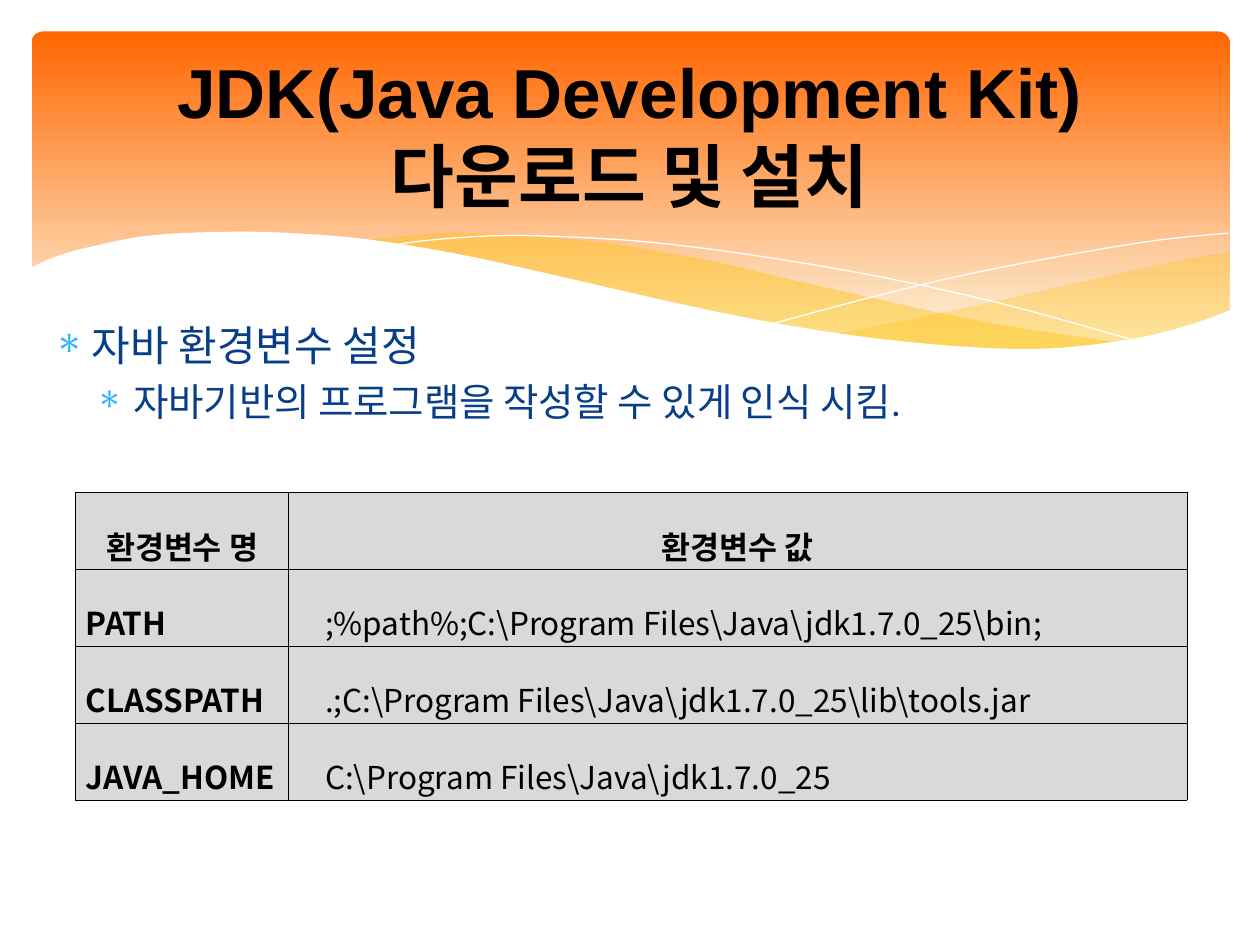
import lxml.etree
import pptx
import pptx.dml.color
import pptx.enum.dml
import pptx.enum.shapes
import pptx.enum.text
import pptx.oxml.ns
import pptx.util

Pt = pptx.util.Pt
ALIGN = pptx.enum.text.PP_ALIGN
ANCHOR = pptx.enum.text.MSO_ANCHOR
COLORS = {"orange": "FF6600", "cream": "FDF2D9", "gold": "FFC000", "white": "FFFFFF",
          "black": "000000", "navy": "073E87", "sky": "31B6FD", "gray": "D9D9D9"}

RIGHT_BAND_TOP = [(684.7, 126), (655, 131), (602, 142.5), (543, 156), (490, 167), (458, 173)]
RIGHT_BAND_BOTTOM = [(458, 173), (490, 177), (527, 180.7), (560, 182), (597, 180.7),
                     (634, 175.7), (660, 168.5), (684.7, 160)]
MIDDLE_BAND_TOP = [(625, 178.5), (563, 169), (515.5, 160), (435, 142), (391.7, 131.8),
                   (352, 124.5), (317, 119.5), (269, 116), (242, 115.2), (218, 116.5),
                   (188, 119.5)]
MIDDLE_BAND_BOTTOM = [(188, 119.5), (228, 125.3), (273, 134), (305, 142), (363.6, 155),
                      (414.7, 165.6), (461, 173.5), (502, 179.3), (538.6, 181.5),
                      (571, 182), (599, 181.5), (625, 178.5)]
FALLING_LINE = [(204.5, 122.4), (229.7, 119), (270.7, 116.6), (319.7, 118), (365.8, 121.7),
                (419.8, 129), (482.4, 139.7), (554.4, 155.5), (635, 177.8)]
RISING_LINE = [(423.4, 167), (482.4, 151.2), (540.7, 137.5), (605.5, 125.3),
               (647.3, 118.8), (684, 115.2)]
WHITE_EDGE = [(-1.4, 135.4), (15, 128.2), (36.7, 122.4), (67.7, 116.6), (109.4, 114.5),
              (147.6, 115.2), (192, 118.8), (244.8, 127.4), (303.8, 140.4), (362.9, 154),
              (416, 165), (463, 172.8), (504.7, 177.8), (542, 180.7), (574.6, 181.4),
              (603.4, 179.3), (637, 174.2), (666, 166.3), (685.4, 159)]
WHITE_BASE = [(685.4, 219), (-1.4, 219)]

ROWS = [("환경변수 명", "환경변수 값"),
        ("PATH", r";%path%;C:\Program Files\Java\jdk1.7.0_25\bin;"),
        ("CLASSPATH", r".;C:\Program Files\Java\jdk1.7.0_25\lib\tools.jar"),
        ("JAVA_HOME", r"C:\Program Files\Java\jdk1.7.0_25")]


def rgb(name):
    """Return the named colour."""
    return pptx.dml.color.RGBColor.from_string(COLORS[name])


def sub(parent, tag, **attrs):
    """Append a DrawingML element."""
    return lxml.etree.SubElement(parent, pptx.oxml.ns.qn("a:" + tag), **attrs)


def add_run(p, text, size, font, color, bold=False):
    """Add one formatted run to a paragraph."""
    r = p.add_run()
    r.text = text
    r.font.size, r.font.name, r.font.bold = Pt(size), font, bold
    r.font.color.rgb = rgb(color)
    sub(r._r.get_or_add_rPr(), "ea", typeface=font)


def add_text_box(s, box, anchor):
    """Add a wrapping text box and return its text frame."""
    tf = s.shapes.add_textbox(*map(Pt, box)).text_frame
    tf.word_wrap = True
    tf.vertical_anchor = anchor
    return tf


def smooth(points, steps=5):
    """Sample a Catmull-Rom curve through the points."""
    ends = [points[0], *points, points[-1]]
    curve = [points[0]]
    for a, b, c, d in zip(ends, ends[1:], ends[2:], ends[3:]):
        for t in (i / steps for i in range(1, steps + 1)):
            curve.append(tuple(
                (2 * q + (u - o) * t + (2 * o - 5 * q + 4 * u - v) * t ** 2
                 + (3 * q - o - 3 * u + v) * t ** 3) / 2
                for o, q, u, v in zip(a, b, c, d)))
    return curve


def add_wave(group, left, top, points, fill=None, alpha=None):
    """Draw a filled wave, or a white hairline when no fill is given."""
    pts = [(Pt(left + x), Pt(top + y)) for x, y in points]
    fb = group.shapes.build_freeform(*pts[0])
    fb.add_line_segments(pts[1:], close=fill is not None)
    sp = fb.convert_to_shape()
    sp.shadow.inherit = False
    if fill is None:
        sp.fill.background()
        sp.line.color.rgb = rgb("white")
        sp.line.width = Pt(0)
        return
    sp.fill.solid()
    sp.fill.fore_color.rgb = rgb(fill)
    sp.line.fill.background()
    if alpha:
        color = sp._element.spPr.find(".//" + pptx.oxml.ns.qn("a:srgbClr"))
        sub(color, "alpha", val=str(alpha * 1000))


def add_banner(s, left, top, width, height):
    """Draw the gradient banner with its waves."""
    sp = s.shapes.add_shape(pptx.enum.shapes.MSO_SHAPE.ROUNDED_RECTANGLE,
                            Pt(left), Pt(top), Pt(width), Pt(height))
    sp.adjustments[0] = 0.034
    sp.shadow.inherit = False
    sp.line.fill.background()
    sp.fill.gradient()
    sp.fill.gradient_angle = 270
    for stop, position, color in zip(sp.fill.gradient_stops, (0, 0.9), ("orange", "cream")):
        stop.position = position
        stop.color.rgb = rgb(color)
    group = s.shapes.add_group_shape()
    add_wave(group, left, top, smooth(RIGHT_BAND_TOP) + smooth(RIGHT_BAND_BOTTOM), "gold", 29)
    add_wave(group, left, top, smooth(MIDDLE_BAND_TOP) + smooth(MIDDLE_BAND_BOTTOM), "gold", 40)
    add_wave(group, left, top, smooth(FALLING_LINE))
    add_wave(group, left, top, smooth(RISING_LINE))
    add_wave(group, left, top, smooth(WHITE_EDGE) + WHITE_BASE, "white")


def add_title(s, *box):
    """Place the centred title."""
    p = add_text_box(s, box, ANCHOR.MIDDLE).paragraphs[0]
    p.alignment = ALIGN.CENTER
    add_run(p, "JDK(Java Development Kit) ", 39.6, "Arial", "black", True)
    add_run(p, "다운로드 및 설치", 39.6, "Calibri", "black", True)


def add_bullets(s, *box):
    """Place the two-level bullet list."""
    tf = add_text_box(s, box, ANCHOR.TOP)
    items = [("자바 환경변수 설정", 24, 21.6),
             ("자바기반의 프로그램을 작성할 수 있게 인식 시킴.", 22, 45.36)]
    for level, (text, size, margin) in enumerate(items):
        p = tf.add_paragraph() if level else tf.paragraphs[0]
        p.level = level
        p.space_before = Pt(size * 0.2)
        pPr = p._p.get_or_add_pPr()
        pPr.set("marL", str(Pt(margin)))
        pPr.set("indent", str(Pt(-21.6)))
        sub(sub(pPr, "buClr"), "srgbClr", val=COLORS["sky"])
        sub(pPr, "buChar", char="∗")
        add_run(p, text, size, "Calibri", "navy")


def format_cell(cell, text, header, first):
    """Fill, border and write one table cell."""
    cell.margin_left = cell.margin_right = cell.margin_top = cell.margin_bottom = Pt(1.44)
    cell.vertical_anchor = ANCHOR.MIDDLE
    tcPr = cell._tc.get_or_add_tcPr()
    for side in "LRTB":
        ln = sub(tcPr, "ln" + side, w=str(Pt(0.28)))
        sub(sub(ln, "solidFill"), "srgbClr", val=COLORS["black"])
    cell.fill.solid()
    cell.fill.fore_color.rgb = rgb("gray")
    p = cell.text_frame.paragraphs[0]
    p.alignment = ALIGN.CENTER if header else ALIGN.JUSTIFY
    p.line_spacing = 1.6
    if not header:
        p._p.get_or_add_pPr().set("marL", str(Pt(4.5 if first else 19.5)))
    add_run(p, text, 18, "Noto Sans CJK KR", "black", header or first)


def add_variable_table(s, left, top, width, height):
    """Place the environment variable table."""
    table = s.shapes.add_table(len(ROWS), 2, Pt(left), Pt(top), Pt(width), Pt(height)).table
    table.horz_banding = False
    table.columns[0].width = Pt(121.7)
    table.columns[1].width = Pt(width - 121.7)
    for i, row in enumerate(ROWS):
        for j, text in enumerate(row):
            format_cell(table.cell(i, j), text, i == 0, j == 0)


def main():
    """Build and save the slide."""
    prs = pptx.Presentation()
    prs.slide_width, prs.slide_height = Pt(720), Pt(540)
    s = prs.slides.add_slide(prs.slide_layouts[6])
    add_banner(s, 18, 18, 684.7, 194.4)
    add_bullets(s, 23.8, 179.3, 684, 85)
    add_title(s, 36, 26.6, 648, 98.6)
    add_variable_table(s, 43.2, 281.5, 635, 175.7)
    prs.save("out.pptx")


if __name__ == "__main__":
    main()
